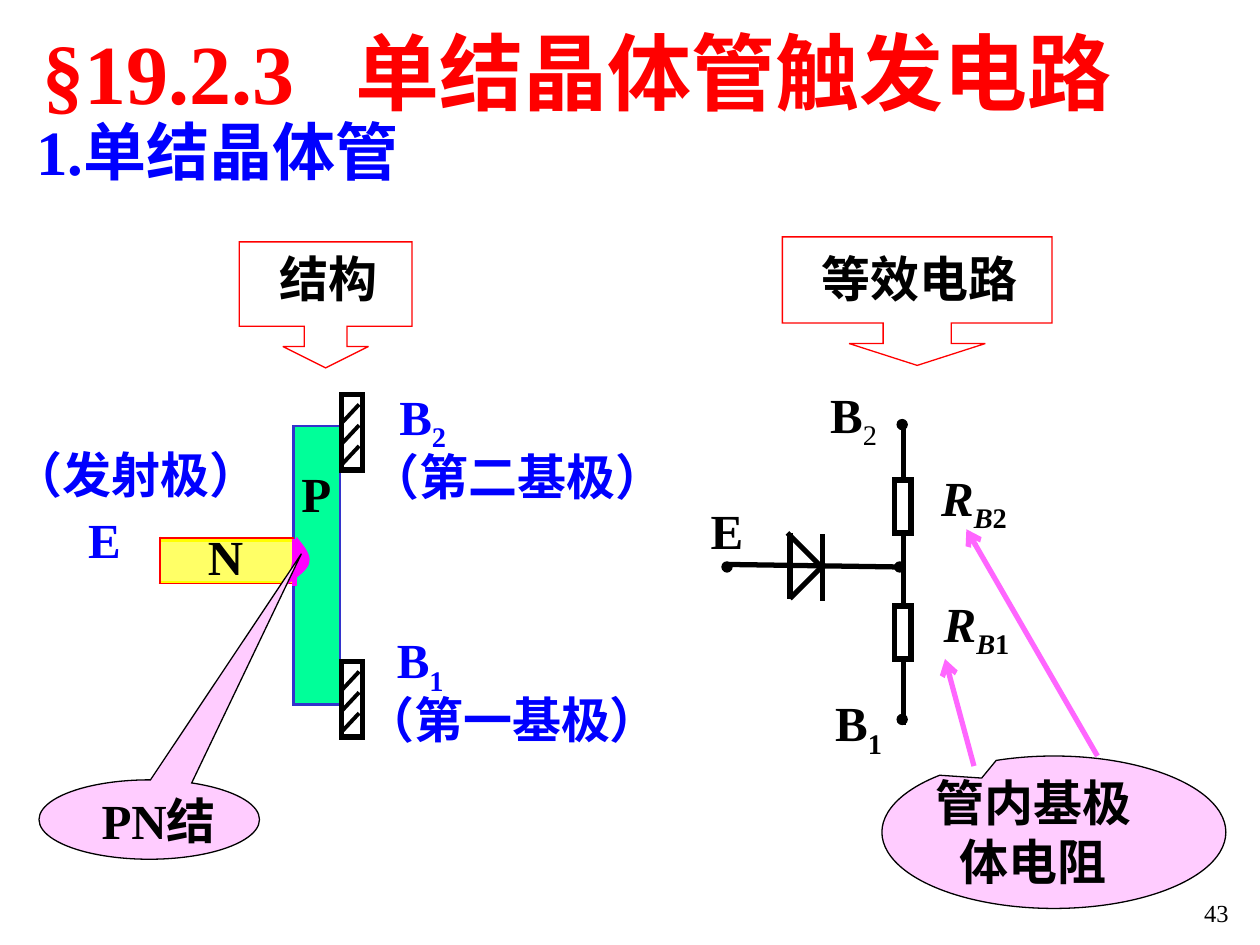
from dataclasses import dataclass
from typing import NamedTuple

from lxml import etree
from pptx import Presentation
from pptx.dml.color import RGBColor
from pptx.enum.shapes import MSO_CONNECTOR, MSO_SHAPE
from pptx.enum.text import MSO_ANCHOR, MSO_AUTO_SIZE, PP_ALIGN
from pptx.oxml.ns import qn
from pptx.util import Inches, Pt

RECT, OVAL = MSO_SHAPE.RECTANGLE, MSO_SHAPE.OVAL
DOWN, BUBBLE = MSO_SHAPE.DOWN_ARROW_CALLOUT, MSO_SHAPE.OVAL_CALLOUT
STRAIGHT = MSO_CONNECTOR.STRAIGHT
LEFT, MID, RIGHT = PP_ALIGN.LEFT, PP_ALIGN.CENTER, PP_ALIGN.RIGHT
TOP, CENTER = MSO_ANCHOR.TOP, MSO_ANCHOR.MIDDLE
FIXED, GROW = MSO_AUTO_SIZE.NONE, MSO_AUTO_SIZE.SHAPE_TO_FIT_TEXT
FONT = "Times New Roman"
INK = {
    "black": "000000", "white": "FFFFFF", "red": "FF0000", "blue": "0000FF",
    "edge": "3333CC", "green": "00FF99", "yellow": "FFFF66", "lemon": "FFFF00",
    "magenta": "FF00FF", "pink": "FFCCFF", "rose": "FF66FF",
}


class Part(NamedTuple):
    text: str
    sub: bool = False
    bold: bool = True
    slant: bool = False


@dataclass
class Label:
    box: tuple
    lines: list
    ink: str = "black"
    size: int = 28
    align: PP_ALIGN = MID
    wrap: bool = False


@dataclass
class Block:
    kind: MSO_SHAPE
    box: tuple
    fill: str
    line: str = "black"
    width: float = 0.75
    adjust: tuple = ()


@dataclass
class Wire:
    start: tuple
    end: tuple
    ink: str = "black"
    width: float = 3
    arrow: bool = False


def tint(name: str) -> RGBColor:
    return RGBColor.from_string(INK[name])


def style(shape, fill: str, line: str, width: float) -> None:
    shape.shadow.inherit = False
    shape.fill.solid()
    shape.fill.fore_color.rgb = tint(fill)
    shape.line.color.rgb = tint(line)
    shape.line.width = Pt(width)
    etree.SubElement(shape.line._get_or_add_ln(), qn("a:miter"), lim="800000")


def write(para, parts: list, ink: str, size: int) -> None:
    for part in parts:
        run = para.add_run()
        run.text = part.text
        font = run.font
        font.name, font.size = FONT, Pt(size)
        font.bold, font.italic = part.bold, part.slant
        font.color.rgb = tint(ink)
        if part.sub:
            run._r.get_or_add_rPr().set("baseline", "-25000")


def add_label(slide, label: Label):
    frame = slide.shapes.add_textbox(*map(Inches, label.box)).text_frame
    frame.word_wrap = label.wrap
    frame.auto_size = GROW
    frame.vertical_anchor = CENTER
    for i, parts in enumerate(label.lines):
        para = frame.add_paragraph() if i else frame.paragraphs[0]
        para.alignment = label.align
        write(para, parts, label.ink, label.size)
    return frame


def add_block(slide, block: Block) -> None:
    shape = slide.shapes.add_shape(block.kind, *map(Inches, block.box))
    for i, value in enumerate(block.adjust):
        shape.adjustments[i] = value
    style(shape, block.fill, block.line, block.width)


def add_wire(slide, wire: Wire) -> None:
    ends = map(Inches, wire.start + wire.end)
    link = slide.shapes.add_connector(STRAIGHT, *ends)
    link.line.color.rgb = tint(wire.ink)
    link.line.width = Pt(wire.width)
    if wire.arrow:
        etree.SubElement(link.line._get_or_add_ln(), qn("a:tailEnd"), type="arrow")
    etree.SubElement(link._element.spPr, qn("a:effectLst"))


def curve(points: list, steps: int = 10) -> list:
    """Sample a cubic Bezier in inches as lengths, leaving out its start."""
    spots = []
    for i in range(1, steps + 1):
        t = i / steps
        mix = ((1 - t) ** 3, 3 * t * (1 - t) ** 2, 3 * t * t * (1 - t), t ** 3)
        spots.append(tuple(Inches(sum(m * p[k] for m, p in zip(mix, points)))
                           for k in (0, 1)))
    return spots


def add_title(slide) -> None:
    title = slide.shapes.title
    title.left, title.top, title.width, title.height = map(Inches, (0.24, 0.18, 9.22, 0.76))
    frame = title.text_frame
    frame.auto_size, frame.vertical_anchor = FIXED, CENTER
    para = frame.paragraphs[0]
    para.alignment = LEFT
    stops = etree.SubElement(para._p.get_or_add_pPr(), qn("a:tabLst"))
    etree.SubElement(stops, qn("a:tab"), pos=str(Inches(2.48)), algn="l")
    write(para, [Part("§19.2.3\t单结晶体管触发电路")], "red", 48)


def add_junction(slide) -> None:
    low, mid, high = (2.31, 4.64), (2.45, 4.45), (2.33, 4.27)
    spots = curve([low, (2.38, 4.57), (2.45, 4.51), mid])
    spots += curve([mid, (2.46, 4.38), (2.35, 4.3), high])
    pen = slide.shapes.build_freeform(*map(Inches, low))
    pen.add_line_segments(spots, close=False)
    shape = pen.convert_to_shape()
    shape.rotation = 7.2
    style(shape, "magenta", "magenta", 0.75)


def pin(digit: str, bold: bool = True) -> list:
    return [[Part("B"), Part(digit, True, bold)]]


def ohm(digit: str) -> list:
    return [[Part("R", slant=True), Part("B", True, slant=True), Part(digit, True)]]


def word(*texts: str) -> list:
    return [[Part(text)] for text in texts]


def add_structure(slide) -> None:
    add_block(slide, Block(DOWN, (1.9, 1.92, 1.37, 1), "white", "red",
                           adjust=(0.34, 0.34, 0.17, 0.67)))
    add_block(slide, Block(RECT, (2.33, 3.38, 0.37, 2.21), "green", "edge", 1.5))
    add_block(slide, Block(RECT, (1.27, 4.29, 1.06, 0.33), "yellow", "lemon", 1.5))
    for start, end in (((1.26, 4.63), (2.32, 4.63)), ((1.27, 4.26), (1.27, 4.63))):
        add_wire(slide, Wire(start, end, "red", 0.75))
    add_junction(slide)
    for top in (3.13, 5.25):
        add_block(slide, Block(RECT, (2.71, top, 0.17, 0.6), "white", width=3))
        for i in range(3):
            y = top + 0.08 + i * 0.165
            add_wire(slide, Wire((2.85, y), (2.71, y + 0.15), width=2.25))
    add_wire(slide, Wire((2.34, 4.28), (2.34, 4.65), "magenta"))
    add_wire(slide, Wire((2.33, 4.27), (1.27, 4.27), "red", 0.75))
    add_block(slide, Block(BUBBLE, (0.31, 6.19, 1.75, 0.63), "pink", adjust=(0.69, -3.35)))
    for label in (
        Label((2.02, 1.92, 1.17, 0.57), word("结构")),
        Label((0.6, 3.99, 0.46, 0.57), word("E"), "blue"),
        Label((0.01, 3.48, 2.14, 0.57), word("（发射极）"), "blue"),
        Label((3.07, 3.02, 0.57, 0.63), pin("2"), "blue"),
        Label((2.84, 3.49, 2.53, 0.57), word("（第二基极）"), "blue"),
        Label((3.05, 4.95, 0.57, 0.63), pin("1"), "blue"),
        Label((2.8, 5.42, 2.53, 0.57), word("（第一基极）"), "blue"),
        Label((1.55, 4.13, 0.48, 0.57), word("N")),
        Label((2.22, 3.63, 0.58, 0.57), word("P"), wrap=True),
        Label((0.66, 6.22, 1.2, 0.57), word("PN结")),
    ):
        add_label(slide, label)


def add_circuit(slide) -> None:
    add_block(slide, Block(DOWN, (6.21, 1.88, 2.14, 1.02), "white", "red",
                           adjust=(0.53, 0.53, 0.17, 0.67)))
    for top in (3.81, 4.81):
        add_block(slide, Block(RECT, (7.1, top, 0.13, 0.42), "white", width=3))
    for start, end in (
        ((7.17, 3.37), (7.17, 3.81)), ((7.17, 4.23), (7.17, 4.79)),
        ((7.17, 5.23), (7.17, 5.75)), ((7.15, 4.5), (5.79, 4.48)),
        ((6.27, 4.23), (6.27, 4.75)), ((6.25, 4.23), (6.54, 4.52)),
        ((6.27, 4.75), (6.52, 4.5)), ((6.53, 4.24), (6.53, 4.77)),
    ):
        add_wire(slide, Wire(start, end))
    for x, y in ((7.1, 4.46), (5.73, 4.46), (7.12, 5.67), (7.12, 3.33)):
        add_block(slide, Block(OVAL, (x, y, 0.08, 0.08), "black"))
    add_block(slide, Block(BUBBLE, (7, 6, 2.73, 1.21), "pink", adjust=(-0.21, -0.355)))
    for label in (
        Label((6.42, 1.92, 1.75, 0.57), word("等效电路")),
        Label((5.54, 3.92, 0.46, 0.57), word("E")),
        Label((6.49, 3, 0.57, 0.63), pin("2", False)),
        Label((6.53, 5.45, 0.57, 0.63), pin("1")),
        Label((7.37, 3.66, 0.72, 0.63), ohm("2")),
        Label((7.39, 4.66, 0.72, 0.63), ohm("1")),
    ):
        add_label(slide, label)
    note = Label((7.33, 6.08, 2.4, 1.04), word("管内基极", "体电阻"), align=LEFT, wrap=True)
    last = add_label(slide, note).paragraphs[-1]
    last._p.get_or_add_pPr().set("marL", str(Inches(0.19)))
    for start, end in (((7.73, 6.08), (7.5, 5.23)), ((8.71, 6), (7.67, 4.2))):
        add_wire(slide, Wire(start, end, "rose", arrow=True))


def main() -> None:
    deck = Presentation()
    deck.slide_width, deck.slide_height = Inches(10), Inches(7.5)
    slide = deck.slides.add_slide(deck.slide_layouts[5])
    add_title(slide)
    add_label(slide, Label((0.19, 0.84, 3.4, 0.7), word("1.单结晶体管"), "blue", 36, LEFT))
    add_structure(slide)
    add_circuit(slide)
    page = Label((7.77, 7.08, 2.08, 0.5), [[Part("43", bold=False)]], size=14,
                 align=RIGHT, wrap=True)
    frame = add_label(slide, page)
    frame.auto_size, frame.vertical_anchor = FIXED, TOP
    deck.save("out.pptx")


if __name__ == "__main__":
    main()
